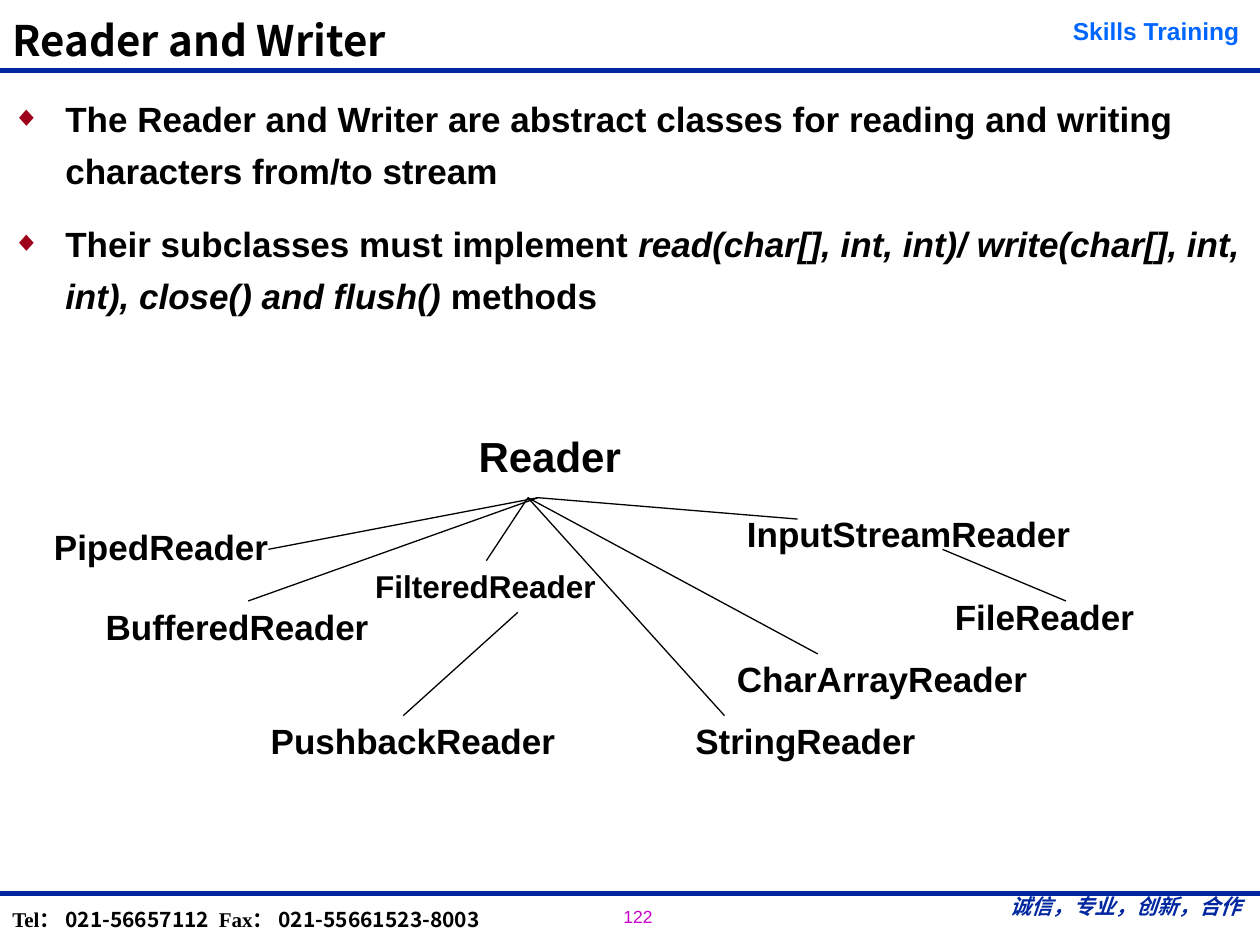
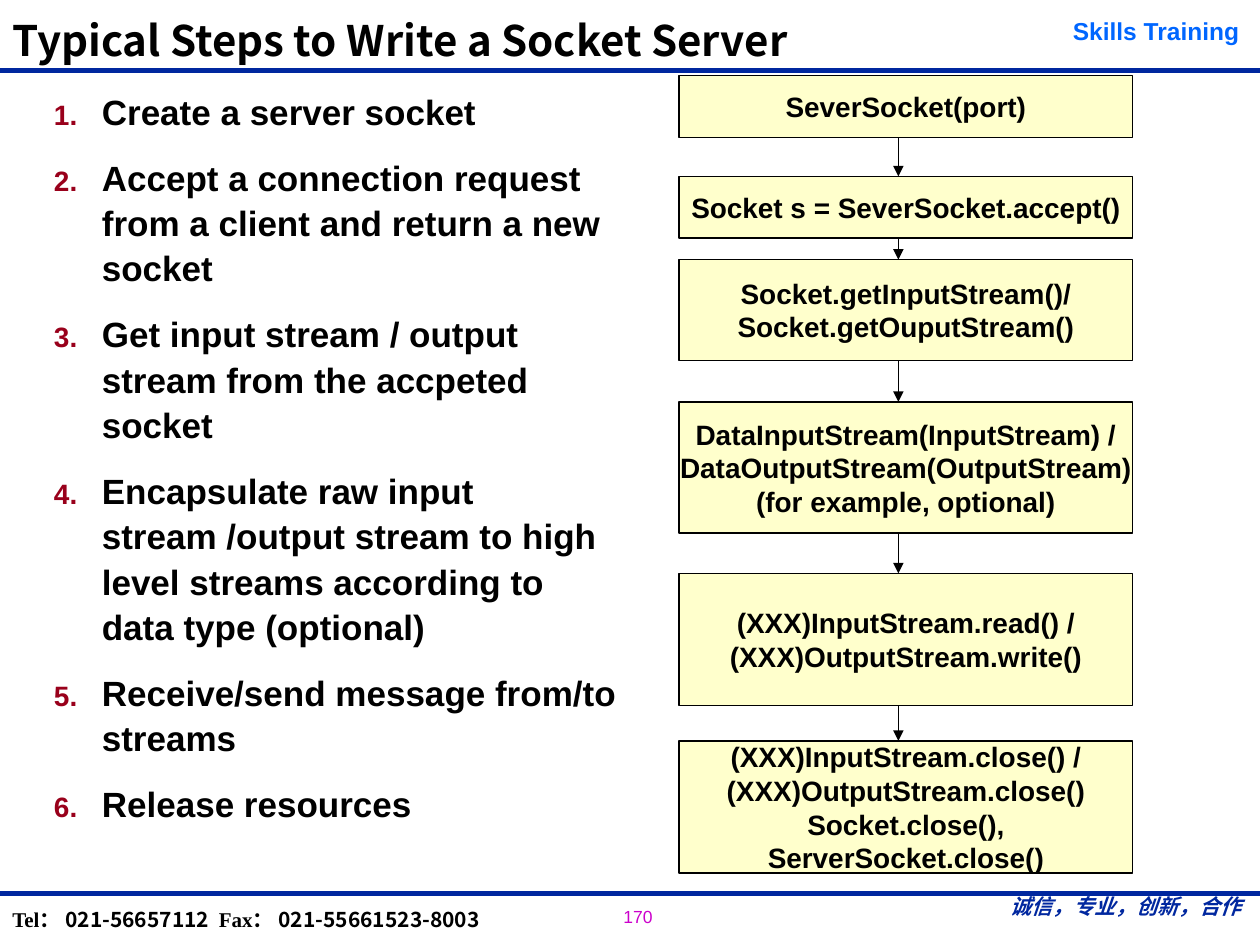
from dataclasses import dataclass
from itertools import pairwise

from lxml import etree
from pptx import Presentation
from pptx.dml.color import RGBColor
from pptx.enum.shapes import MSO_CONNECTOR, MSO_SHAPE
from pptx.enum.text import MSO_ANCHOR, PP_ALIGN
from pptx.oxml.ns import qn
from pptx.shapes.connector import Connector
from pptx.slide import Slide
from pptx.text.text import TextFrame
from pptx.util import Inches, Pt

STRAIGHT = MSO_CONNECTOR.STRAIGHT
RECTANGLE = MSO_SHAPE.RECTANGLE
LEFT, CENTER = PP_ALIGN.LEFT, PP_ALIGN.CENTER
TOP, MIDDLE, BOTTOM = MSO_ANCHOR.TOP, MSO_ANCHOR.MIDDLE, MSO_ANCHOR.BOTTOM


@dataclass(frozen=True)
class Theme:
    sans: str = "Arial"
    serif: str = "Times New Roman"
    cjk: str = "Noto Sans CJK SC"
    ink: str = "000000"
    navy: str = "00279F"
    sky: str = "0066FF"
    magenta: str = "CC00CC"
    diamond: str = "9E001B"
    number: str = "99001B"
    step_fill: str = "FFFFCC"
    title_size: float = 24
    body_size: float = 20
    small_label_size: float = 18
    step_size: float = 16
    brand_size: float = 14
    footer_size: float = 12
    page_size: float = 10
    rule_width: float = 2.75
    line_width: float = 0.75


THEME = Theme()


@dataclass(frozen=True)
class Span:
    text: str
    size: float = THEME.body_size
    font: str = THEME.sans
    color: str = THEME.ink
    bold: bool = True
    italic: bool = False


@dataclass(frozen=True)
class Area:
    left: float
    top: float
    width: float
    height: float


@dataclass(frozen=True)
class ListStyle:
    marker: str
    attributes: dict[str, str]
    color: str
    margin: float
    hanging: float
    leading: float


@dataclass(frozen=True)
class ClassLabel:
    name: str
    left: float
    top: float
    width: float
    size: float = THEME.body_size


@dataclass(frozen=True)
class Link:
    start: tuple[float, float]
    end: tuple[float, float]


@dataclass(frozen=True)
class Step:
    top: float
    height: float
    lines: tuple[str, ...]


DIAMONDS = ListStyle("a:buChar", {"char": "◆"}, THEME.diamond, 0.42, 0.42, 29.9)
NUMBERS = ListStyle("a:buAutoNum", {"type": "arabicPeriod"}, THEME.number, 0.63, 0.38, 25.9)
LIST_GAP = 5.9

FOOTER_PHONES = [
    Span("Tel： ", THEME.footer_size, THEME.serif),
    Span("021-56657112", THEME.footer_size, THEME.cjk),
    Span(" ", THEME.title_size, THEME.cjk, italic=True),
    Span("Fax： ", THEME.footer_size, THEME.serif),
    Span("021-55661523-8003", THEME.footer_size, THEME.cjk),
]

READER_POINTS = [
    [Span("The Reader and Writer are abstract classes for reading and writing "
          "characters from/to stream")],
    [
        Span("Their subclasses must implement "),
        Span("read(char[], int, int)/ write(char[], int, int), close() and flush()",
             italic=True),
        Span(" methods"),
    ],
]

READER_CLASSES = [
    ClassLabel("Reader", 3.7, 3.37, 2.46, THEME.title_size),
    ClassLabel("PipedReader", 0.33, 4.12, 2.47),
    ClassLabel("BufferedReader", 0.74, 4.76, 2.46),
    ClassLabel("FilteredReader", 2.88, 4.45, 2.46, THEME.small_label_size),
    ClassLabel("InputStreamReader", 5.83, 4.02, 3.12),
    ClassLabel("StringReader", 5.42, 5.66, 2.46),
    ClassLabel("PushbackReader", 2.05, 5.66, 2.71),
    ClassLabel("CharArrayReader", 5.75, 5.17, 2.88),
    ClassLabel("FileReader", 7.48, 4.68, 1.89),
]

ROOT_RIGHT = (4.27, 3.95)
ROOT_LEFT = (4.19, 3.95)
INHERITANCE = [
    Link(ROOT_RIGHT, (2.13, 4.36)),
    Link(ROOT_RIGHT, (1.97, 4.77)),
    Link(ROOT_LEFT, (3.86, 4.45)),
    Link((4.11, 4.86), (3.2, 5.68)),
    Link(ROOT_RIGHT, (6.33, 4.12)),
    Link((7.48, 4.36), (8.46, 4.77)),
    Link(ROOT_LEFT, (6.49, 5.19)),
    Link(ROOT_LEFT, (5.75, 5.68)),
]

SERVER_TASKS = [
    "Create a server socket",
    "Accept a connection request from a client and return a new socket",
    "Get input stream / output stream from the accpeted socket",
    "Encapsulate raw input stream /output stream to high level streams "
    "according to data type (optional)",
    "Receive/send message from/to streams",
    "Release resources",
]

STEP_LEFT, STEP_WIDTH, ARROW_X = 5.39, 3.6, 7.13
SERVER_STEPS = [
    Step(0.6, 0.49, ("SeverSocket(port)",)),
    Step(1.4, 0.49, ("Socket s = SeverSocket.accept()",)),
    Step(2.06, 0.8, ("Socket.getInputStream()/", "Socket.getOuputStream()")),
    Step(3.19, 1.04, ("DataInputStream(InputStream) /",
                      "DataOutputStream(OutputStream)",
                      "(for example, optional)")),
    Step(4.55, 1.05, ("(XXX)InputStream.read() /", "(XXX)OutputStream.write()")),
    Step(5.88, 1.05, ("(XXX)InputStream.close() /", "(XXX)OutputStream.close()",
                      "Socket.close(),", "ServerSocket.close()")),
]


def fill_text(frame: TextFrame, paragraphs: list[list[Span]], align: PP_ALIGN = LEFT) -> None:
    for index, spans in enumerate(paragraphs):
        para = frame.paragraphs[0] if index == 0 else frame.add_paragraph()
        para.alignment = align
        for span in spans:
            run = para.add_run()
            run.text = span.text
            run.font.name = span.font
            run.font.size = Pt(span.size)
            run.font.bold = span.bold
            run.font.italic = span.italic
            run.font.color.rgb = RGBColor.from_string(span.color)
            east_asian = etree.SubElement(run.font._element, qn("a:ea"))
            east_asian.set("typeface", THEME.cjk)


def add_text(page: Slide, area: Area, paragraphs: list[list[Span]],
             align: PP_ALIGN = LEFT, anchor: MSO_ANCHOR = TOP) -> TextFrame:
    box = page.shapes.add_textbox(Inches(area.left), Inches(area.top),
                                  Inches(area.width), Inches(area.height))
    frame = box.text_frame
    frame.word_wrap = True
    frame.vertical_anchor = anchor
    fill_text(frame, paragraphs, align)
    return frame


def add_list(page: Slide, area: Area, paragraphs: list[list[Span]], style: ListStyle) -> None:
    frame = add_text(page, area, paragraphs)
    for index, para in enumerate(frame.paragraphs):
        properties = para._p.get_or_add_pPr()
        properties.set("marL", str(Inches(style.margin)))
        properties.set("indent", str(-Inches(style.hanging)))
        color = etree.SubElement(properties, qn("a:buClr"))
        etree.SubElement(color, qn("a:srgbClr")).set("val", style.color)
        etree.SubElement(properties, qn("a:buSzPct")).set("val", "80000")
        etree.SubElement(properties, qn("a:buFont")).set("typeface", THEME.sans)
        etree.SubElement(properties, qn(style.marker), style.attributes)
        para.line_spacing = Pt(style.leading)
        para.space_before = Pt(LIST_GAP if index else 0)
        para.space_after = Pt(LIST_GAP)


def add_line(page: Slide, link: Link, color: str = THEME.ink,
             width: float = THEME.line_width) -> Connector:
    line = page.shapes.add_connector(STRAIGHT, *map(Inches, link.start + link.end))
    line.line.color.rgb = RGBColor.from_string(color)
    line.line.width = Pt(width)
    etree.SubElement(line._element.spPr, qn("a:effectLst"))
    return line


def add_arrow(page: Slide, link: Link) -> None:
    arrow = add_line(page, link)
    etree.SubElement(arrow.line._get_or_add_ln(), qn("a:tailEnd")).set("type", "triangle")


def add_step(page: Slide, step: Step) -> None:
    box = page.shapes.add_shape(RECTANGLE, Inches(STEP_LEFT), Inches(step.top),
                                Inches(STEP_WIDTH), Inches(step.height))
    box.shadow.inherit = False
    box.fill.solid()
    box.fill.fore_color.rgb = RGBColor.from_string(THEME.step_fill)
    box.line.color.rgb = RGBColor.from_string(THEME.ink)
    box.line.width = Pt(THEME.line_width)
    frame = box.text_frame
    frame.word_wrap = False
    frame.vertical_anchor = MIDDLE
    fill_text(frame, [[Span(line, THEME.step_size)] for line in step.lines], CENTER)


def add_page(deck: Presentation, title: str, number: int) -> Slide:
    page = deck.slides.add_slide(deck.slide_layouts[6])
    for y in (0.56, 7.09):
        add_line(page, Link((0, y), (10, y)), THEME.navy, THEME.rule_width)
    add_text(page, Area(4.85, 7.14, 0.83, 0.26),
             [[Span(str(number), THEME.page_size, color=THEME.magenta, bold=False)]])
    add_text(page, Area(7.87, 7.04, 2.13, 0.37),
             [[Span("诚信，专业，创新，合作", THEME.footer_size, THEME.serif,
                    THEME.navy, italic=True)]], CENTER)
    add_text(page, Area(0, 6.98, 4.29, 0.5), [FOOTER_PHONES])
    add_text(page, Area(8.38, 0.08, 1.59, 0.33),
             [[Span("Skills Training", THEME.brand_size, color=THEME.sky)]], CENTER)
    heading = add_text(page, Area(0, 0, 8.34, 0.57),
                       [[Span(title, THEME.title_size, THEME.cjk)]], anchor=BOTTOM)
    heading.paragraphs[0].line_spacing = 0.87
    return page


def build_reader_page(deck: Presentation) -> None:
    page = add_page(deck, "Reader and Writer", 122)
    add_list(page, Area(0, 0.64, 10, 6.37), READER_POINTS, DIAMONDS)
    for label in READER_CLASSES:
        add_text(page, Area(label.left, label.top, label.width, 0.43),
                 [[Span(label.name, label.size)]])
    for link in INHERITANCE:
        add_line(page, link)


def build_server_page(deck: Presentation) -> None:
    page = add_page(deck, "Typical Steps to Write a Socket Server", 170)
    add_list(page, Area(0.08, 0.64, 4.92, 6.37), [[Span(task)] for task in SERVER_TASKS], NUMBERS)
    for step in SERVER_STEPS:
        add_step(page, step)
    for upper, lower in pairwise(SERVER_STEPS):
        add_arrow(page, Link((ARROW_X, upper.top + upper.height), (ARROW_X, lower.top)))


def main() -> None:
    deck = Presentation()
    deck.slide_width, deck.slide_height = Inches(10), Inches(7.5)
    build_reader_page(deck)
    build_server_page(deck)
    deck.save("out.pptx")


if __name__ == "__main__":
    main()
